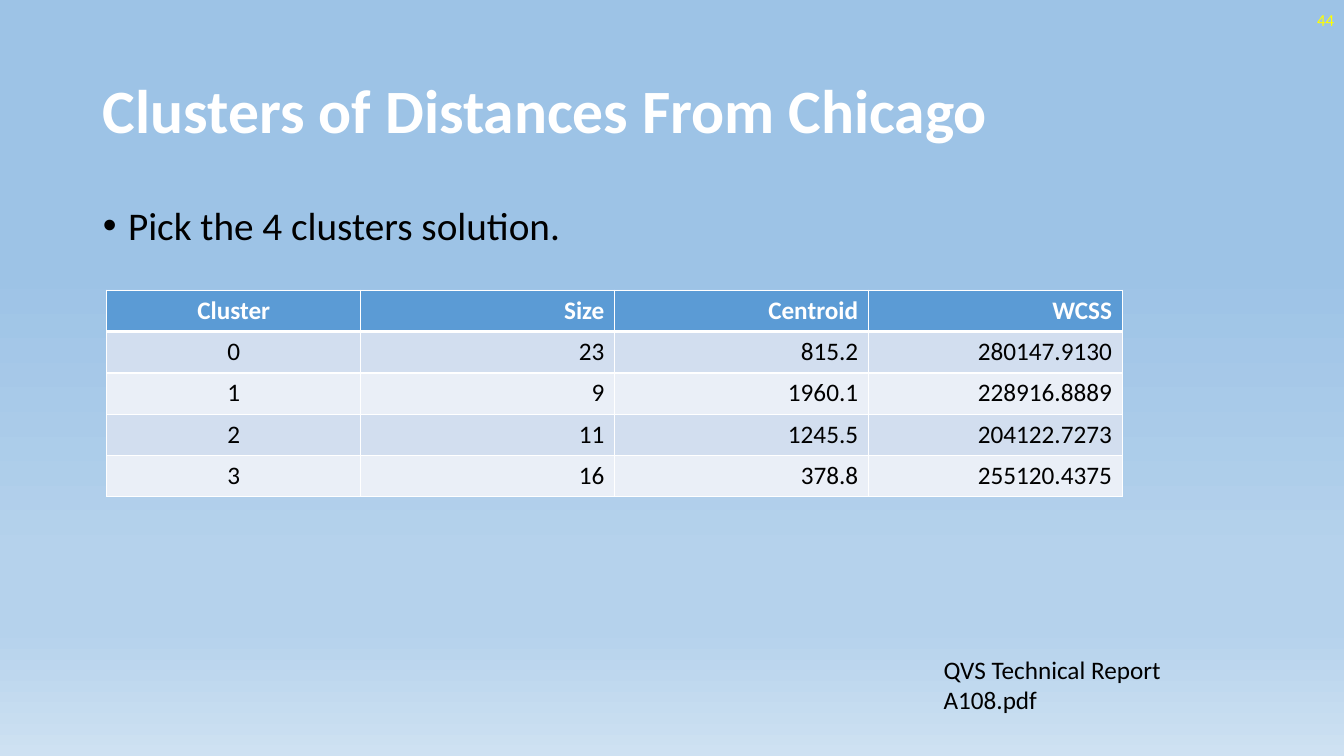
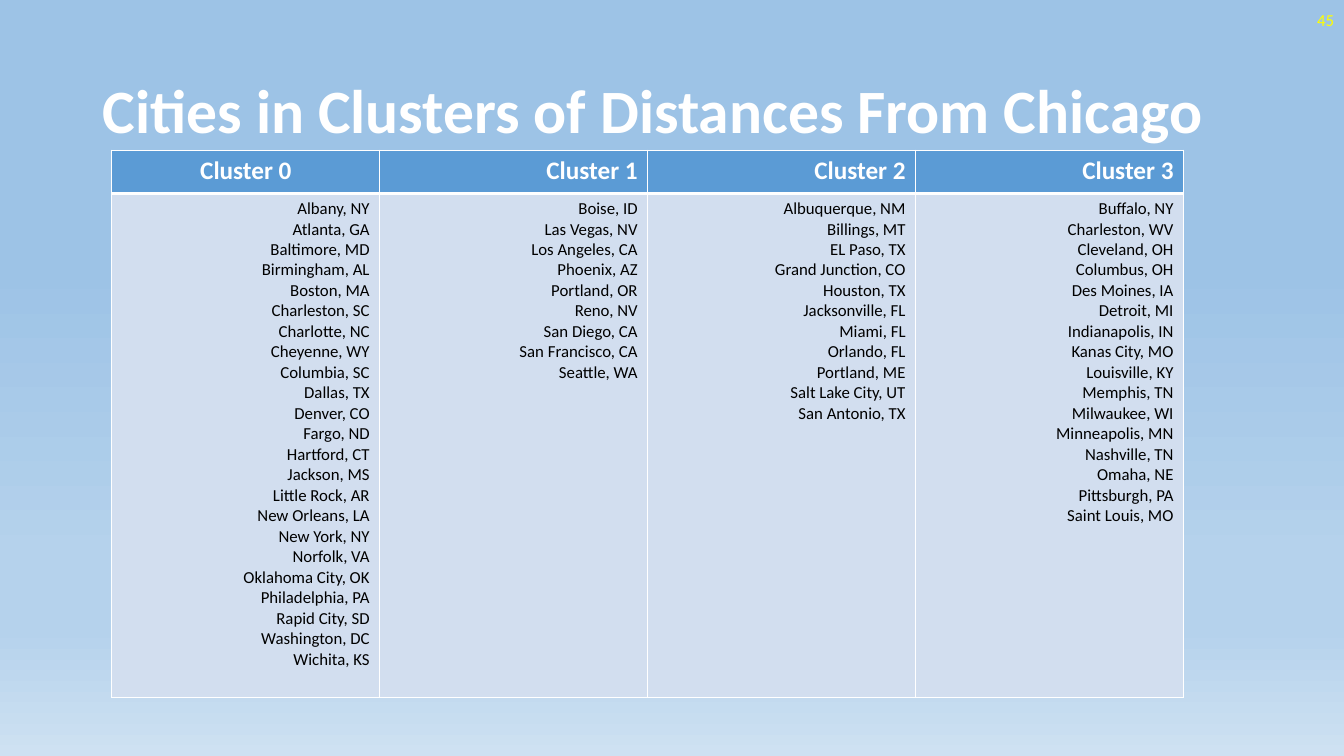
"""Build two slides on the clusters of city distances from Chicago."""
from lxml.etree import SubElement
from pptx import Presentation
from pptx.dml.color import RGBColor
from pptx.enum.text import MSO_ANCHOR as ANCHOR, PP_ALIGN as ALIGN
from pptx.oxml import parse_xml
from pptx.oxml.ns import nsdecls, qn
from pptx.util import Inches, Pt

WHITE, BLACK, YELLOW = "FFFFFF", "000000", "FFFF00"
HEADER, BANDS = "5B9BD5", ("D2DEEF", "EAEFF7")
GRADIENT = [(35, "9DC3E6"), (74, "B5D2EC"), (83, "B5D2EC"), (100, "CEE1F2")]


def write(tf, text, size, color, bold=False, **para):
    """Fill a text frame, one paragraph per line of text."""
    tf.text = text
    for p in tf.paragraphs:
        for key, value in para.items():
            setattr(p, key, value)
        for r in p.runs:
            for key, value in dict(name="Calibri", size=Pt(size), bold=bold).items():
                setattr(r.font, key, value)
            r.font.color.rgb = RGBColor.from_string(color)


def add_grid(s, rows, left, top, width, heights, size):
    """Add a table with a header row, banded body and white rules."""
    box = [Inches(v) for v in (left, top, width, sum(heights))]
    table = s.shapes.add_table(len(rows), len(rows[0]), *box).table
    for i, row in enumerate(rows):
        table.rows[i].height = Inches(heights[i])
        for j, text in enumerate(row):
            cell = table.cell(i, j)
            centred = j == 0 and "\n" not in text
            write(cell.text_frame, text, size if i else 18, BLACK if i else WHITE, i == 0,
                  alignment=ALIGN.CENTER if centred else ALIGN.RIGHT)
            cell.fill.solid()
            cell.fill.fore_color.rgb = RGBColor.from_string(BANDS[(i - 1) % 2] if i else HEADER)
            widths = dict(lnL=1, lnR=1, lnT=3 if i == 1 else 1, lnB=1 if i else 3)
            for k, (side, pts) in enumerate(widths.items()):
                cell._tc.tcPr.insert(k, parse_xml(
                    f'<a:{side} {nsdecls("a")} w="{Pt(pts)}"><a:solidFill>'
                    f'<a:srgbClr val="{WHITE}"/></a:solidFill></a:{side}>'))


clusters = [
    ("Cluster", "Size", "Centroid", "WCSS"),
    ("0", "23", "815.2", "280147.9130"),
    ("1", "9", "1960.1", "228916.8889"),
    ("2", "11", "1245.5", "204122.7273"),
    ("3", "16", "378.8", "255120.4375"),
]
cities = [
    ["Albany, NY", "Atlanta, GA", "Baltimore, MD", "Birmingham, AL", "Boston, MA",
     "Charleston, SC", "Charlotte, NC", "Cheyenne, WY", "Columbia, SC", "Dallas, TX",
     "Denver, CO", "Fargo, ND", "Hartford, CT", "Jackson, MS", "Little Rock, AR",
     "New Orleans, LA", "New York, NY", "Norfolk, VA", "Oklahoma City, OK",
     "Philadelphia, PA", "Rapid City, SD", "Washington, DC", "Wichita, KS"],
    ["Boise, ID", "Las Vegas, NV", "Los Angeles, CA", "Phoenix, AZ", "Portland, OR",
     "Reno, NV", "San Diego, CA", "San Francisco, CA", "Seattle, WA"],
    ["Albuquerque, NM", "Billings, MT", "EL Paso, TX", "Grand Junction, CO",
     "Houston, TX", "Jacksonville, FL", "Miami, FL", "Orlando, FL", "Portland, ME",
     "Salt Lake City, UT", "San Antonio, TX"],
    ["Buffalo, NY", "Charleston, WV", "Cleveland, OH", "Columbus, OH", "Des Moines, IA",
     "Detroit, MI", "Indianapolis, IN", "Kanas City, MO", "Louisville, KY",
     "Memphis, TN", "Milwaukee, WI", "Minneapolis, MN", "Nashville, TN", "Omaha, NE",
     "Pittsburgh, PA", "Saint Louis, MO"],
]
city_rows = [[f"Cluster {n}" for n in range(len(cities))],
             ["\n".join(names) for names in cities]]

prs = Presentation()
prs.slide_width, prs.slide_height = Inches(13.33), Inches(7.5)

master = prs.slide_master
master.background.fill.gradient()
grad = master.element.find(".//" + qn("p:bgPr")).find(qn("a:gradFill"))
stops = grad.find(qn("a:gsLst"))
for stop in list(stops):
    stops.remove(stop)
for pos, color in GRADIENT:
    stop = SubElement(stops, qn("a:gs"), pos=str(pos * 1000))
    SubElement(stop, qn("a:srgbClr"), val=color)
grad.find(qn("a:lin")).set("ang", str(90 * 60000))

slides = []
for number, layout, title in [(44, 1, "Clusters of Distances From Chicago"),
                              (45, 5, "Cities in Clusters of Distances From Chicago")]:
    s = prs.slides.add_slide(prs.slide_layouts[layout])
    sp = s.shapes.title
    sp.left, sp.top, sp.width, sp.height = [Inches(v) for v in (0.92, 0.4, 11.5, 1.45)]
    sp.text_frame.vertical_anchor = ANCHOR.MIDDLE
    write(sp.text_frame, title, 44, WHITE, True, alignment=ALIGN.LEFT, line_spacing=0.9)
    tf = s.shapes.add_textbox(*[Inches(v) for v in (10.33, 0, 3, 0.4)]).text_frame
    tf.word_wrap = True
    tf.vertical_anchor = ANCHOR.MIDDLE
    write(tf, str(number), 12, YELLOW, alignment=ALIGN.RIGHT)
    slides.append(s)

summary, members = slides

body = summary.placeholders[1]
body.left, body.top, body.width, body.height = [Inches(v) for v in (0.92, 2, 11.5, 4.76)]
write(body.text_frame, "Pick the 4 clusters solution.", 28, BLACK,
      line_spacing=0.9, space_before=Pt(10))
pPr = body.text_frame.paragraphs[0]._p.get_or_add_pPr()
pPr.set("marL", str(Inches(0.25)))
pPr.set("indent", str(Inches(-0.25)))

source = summary.shapes.add_textbox(*[Inches(v) for v in (9.26, 6.44, 3.32, 0.4)])
write(source.text_frame, "QVS Technical Report A108.pdf", 18, BLACK)
add_grid(summary, clusters, 1.06, 2.88, 10.07, [0.41] * 5, 18)
add_grid(members, city_rows, 1.11, 1.49, 10.63, [0.43, 5], 12)

prs.save("out.pptx")
